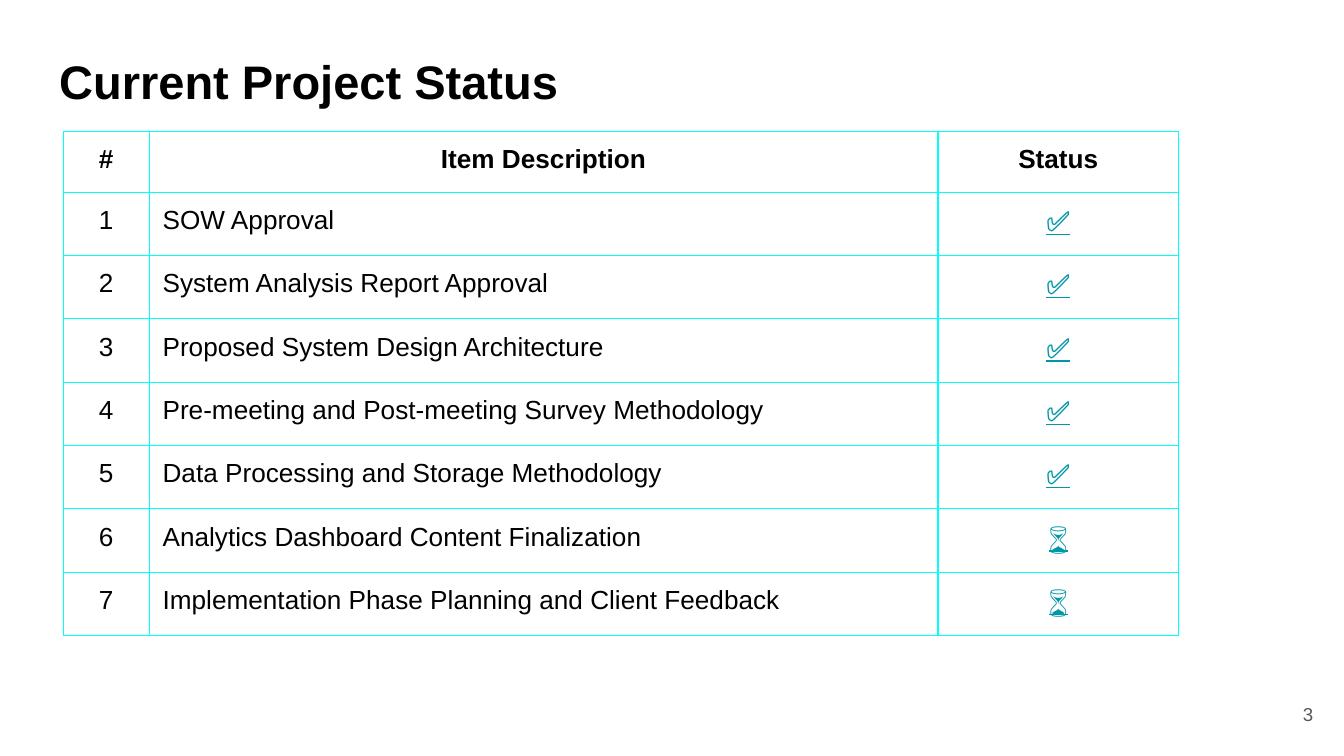
"""Build the project status slide with its table of items."""
from typing import NamedTuple

from lxml import etree
from pptx import Presentation, util as u
from pptx.dml.color import RGBColor
from pptx.enum import text
from pptx.oxml import ns

BLACK, GREY, TEAL, CYAN = "000000", "595959", "0097A7", "00FFFF"
DONE, PENDING = "✅", "⌛"
CENTER, LEFT, RIGHT = text.PP_ALIGN.CENTER, text.PP_ALIGN.LEFT, text.PP_ALIGN.RIGHT
COLUMN_WIDTHS = (0.64, 5.87, 1.79)
TABLE_HEIGHT, HEADER_HEIGHT = 3.75, 0.45


class Style(NamedTuple):
    size: float
    color: str = BLACK
    bold: bool = False
    font: str = "Arial"
    underline: bool = False


class Item(NamedTuple):
    description: str
    status: str


TITLE = Style(25.2, bold=True)
HEADER = Style(14, bold=True)
BODY = Style(14)
MARK = Style(15, TEAL, font="Roboto", underline=True)
PAGE = Style(10, GREY)

ITEMS = (
    Item("SOW Approval", DONE),
    Item("System Analysis Report Approval", DONE),
    Item("Proposed System Design Architecture", DONE),
    Item("Pre-meeting and Post-meeting Survey Methodology", DONE),
    Item("Data Processing and Storage Methodology", DONE),
    Item("Analytics Dashboard Content Finalization", PENDING),
    Item("Implementation Phase Planning and Client Feedback", PENDING),
)


def rgb(color: str) -> RGBColor:
    return RGBColor.from_string(color)


def write(frame, words: str, style: Style, align) -> None:
    frame.word_wrap = True
    frame.text = words
    paragraph = frame.paragraphs[0]
    paragraph.alignment = align
    font = paragraph.font
    font.name, font.size = style.font, u.Pt(style.size)
    font.bold, font.underline = style.bold, style.underline
    font.color.rgb = rgb(style.color)


def place(box, left: float, top: float, width: float, height: float, anchor) -> None:
    box.left, box.top = u.Inches(left), u.Inches(top)
    box.width, box.height = u.Inches(width), u.Inches(height)
    frame = box.text_frame
    frame.auto_size = text.MSO_AUTO_SIZE.NONE
    frame.vertical_anchor = anchor
    frame.margin_left = frame.margin_right = u.Inches(0.1)
    frame.margin_top = frame.margin_bottom = u.Inches(0.1)


def add_borders(cell, color: str, width: float) -> None:
    properties = cell._tc.get_or_add_tcPr()
    for position, side in enumerate(("lnL", "lnR", "lnT", "lnB")):
        line = etree.Element(ns.qn(f"a:{side}"), w=str(u.Pt(width)))
        fill = etree.SubElement(line, ns.qn("a:solidFill"))
        etree.SubElement(fill, ns.qn("a:srgbClr"), val=color)
        properties.insert(position, line)


def fill_cell(cell, words: str, style: Style, align) -> None:
    cell.margin_left = cell.margin_right = u.Inches(0.1)
    cell.margin_top = cell.margin_bottom = u.Inches(0.1)
    cell.fill.background()
    write(cell.text_frame, words, style, align)
    add_borders(cell, CYAN, 0.75)


def add_status_table(slide, left: float, top: float) -> None:
    item_height = (TABLE_HEIGHT - HEADER_HEIGHT) / len(ITEMS)
    table = slide.shapes.add_table(
        len(ITEMS) + 1, len(COLUMN_WIDTHS), u.Inches(left), u.Inches(top),
        u.Inches(sum(COLUMN_WIDTHS)), u.Inches(TABLE_HEIGHT),
    ).table
    table.first_row = table.horz_banding = False
    for column, width in zip(table.columns, COLUMN_WIDTHS):
        column.width = u.Inches(width)
    for index, row in enumerate(table.rows):
        row.height = u.Inches(item_height if index else HEADER_HEIGHT)
    for column, heading in enumerate(("#", "Item Description", "Status")):
        fill_cell(table.cell(0, column), heading, HEADER, CENTER)
    for number, item in enumerate(ITEMS, start=1):
        fill_cell(table.cell(number, 0), str(number), BODY, CENTER)
        fill_cell(table.cell(number, 1), item.description, BODY, LEFT)
        fill_cell(table.cell(number, 2), item.status, MARK, CENTER)


def main() -> None:
    deck = Presentation()
    deck.slide_width = u.Inches(10)
    deck.slide_height = u.Inches(10 * 9 / 16)
    slide = deck.slides.add_slide(deck.slide_layouts[5])

    heading = slide.shapes.title
    place(heading, 0.34, 0.29, 9.32, 0.63, text.MSO_ANCHOR.TOP)
    write(heading.text_frame, "Current Project Status", TITLE, LEFT)

    page_number = slide.shapes.add_textbox(0, 0, 0, 0)
    place(page_number, 9.27, 5.1, 0.6, 0.43, text.MSO_ANCHOR.MIDDLE)
    write(page_number.text_frame, "3", PAGE, RIGHT)

    add_status_table(slide, 0.47, 0.98)
    deck.save("out.pptx")


if __name__ == "__main__":
    main()
